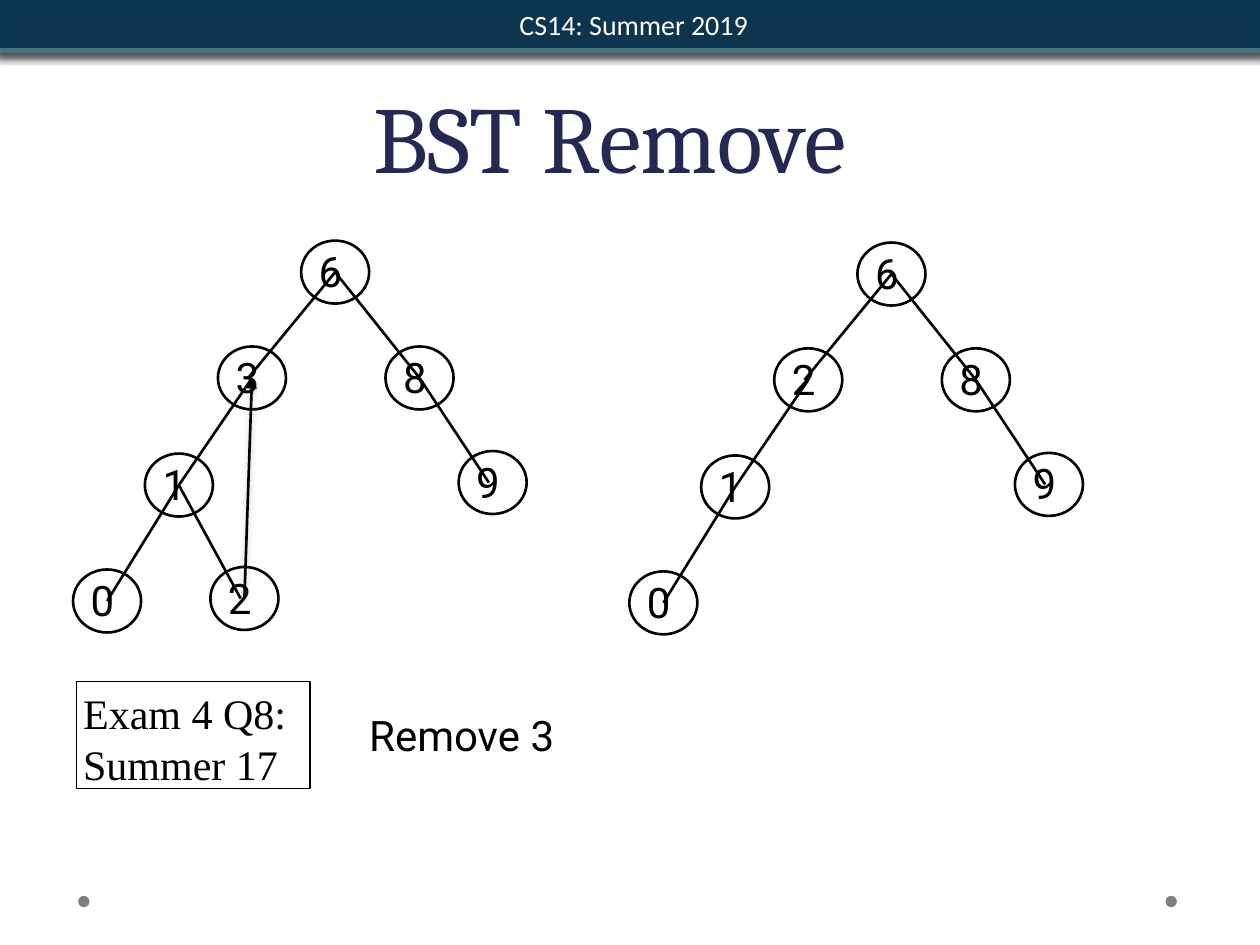
"""Build the BST Remove slide: a search tree before and after removing 3."""
import pptx
import pptx.dml.color
import pptx.enum.shapes
import pptx.enum.text
import pptx.oxml
import pptx.oxml.ns
import pptx.util

RGB = pptx.dml.color.RGBColor
BLACK = RGB(0x00, 0x00, 0x00)
WHITE = RGB(0xFF, 0xFF, 0xFF)
NAVY = RGB(0x06, 0x2F, 0x4B)
TEAL = RGB(0x42, 0x7A, 0x92)
INDIGO = RGB(0x24, 0x28, 0x52)
GRAY = RGB(0x7F, 0x7F, 0x7F)
SHAPE = pptx.enum.shapes.MSO_SHAPE
ANCHOR = pptx.enum.text.MSO_ANCHOR
ALIGN = pptx.enum.text.PP_ALIGN
NS = pptx.oxml.ns.nsdecls("a")

prs = pptx.Presentation()
prs.slide_width = pptx.util.Inches(10)
prs.slide_height = pptx.util.Inches(7.5)
COL, ROW = prs.slide_width / 100, prs.slide_height / 75
s = prs.slides.add_slide(prs.slide_layouts[5])


def grid(*cells):
    return [round(c * (ROW if i % 2 else COL)) for i, c in enumerate(cells)]


def write(sp, text, font, size, color, anchor, align=ALIGN.LEFT, wrap=True, inset=0.5):
    tf = sp.text_frame
    tf.text = text
    tf.word_wrap = wrap
    tf.vertical_anchor = anchor
    tf.margin_left = tf.margin_right = round(inset * COL)
    tf.margin_top = tf.margin_bottom = round(inset * ROW)
    p = tf.paragraphs[0]
    p.alignment = align
    f = p.runs[0].font
    f.name, f.size, f.color.rgb = font, pptx.util.Pt(size), color


for x in (6.2, 92.5):
    sp = s.shapes.add_shape(SHAPE.OVAL, *grid(x, 71.1, 0.9, 0.9))
    sp.shadow.inherit = False
    sp.fill.solid()
    sp.fill.fore_color.rgb = GRAY
    sp.line.fill.background()

for cells, color, alpha, shade, strength in (
    ((-0.4, -0.6, 100.7, 4.8), TEAL, 100, "000000", 75),
    ((-0.1, 0, 100.3, 3.8), NAVY, 90, "5E5E5E", 50),
):
    bar = s.shapes.add_shape(SHAPE.RECTANGLE, *grid(*cells))
    bar.fill.solid()
    bar.fill.fore_color.rgb = color
    bar.fill._xPr.find(".//" + pptx.oxml.ns.qn("a:srgbClr")).append(
        pptx.oxml.parse_xml(f'<a:alpha {NS} val="{alpha * 1000}"/>'))
    bar.line.fill.background()
    bar._element.spPr.append(pptx.oxml.parse_xml(
        f'<a:effectLst {NS}><a:outerShdw blurRad="63500" dist="25400" dir="5400000" rotWithShape="0">'
        f'<a:srgbClr val="{shade}"><a:alpha val="{strength * 1000}"/></a:srgbClr>'
        '</a:outerShdw></a:effectLst>'))
write(bar, "CS14: Summer 2019", "Calibri", 16, WHITE, ANCHOR.MIDDLE, ALIGN.CENTER, inset=0.6)
bar.text_frame.margin_left = round(1.1 * COL)

title = s.shapes.title
title.left, title.top, title.width, title.height = grid(6.7, 3.3, 85, 12.5)
write(title, "BST Remove ", "Cambria", 54, INDIGO, ANCHOR.BOTTOM, ALIGN.CENTER)
title.text_frame.paragraphs[0].line_spacing = pptx.util.Pt(58)

NODE_W, NODE_H = 5.4, 5
CENTERS = {
    "root": (26.6, 21.6), "right": (33.3, 30), "left": (20, 30), "left left": (14.2, 38.5),
    "leaf": (8.5, 47.7), "right right": (39.1, 38.3), "inner": (19.4, 47.5),
}
EDGES = [("root", "right"), ("root", "left"), ("left", "left left"), ("left left", "leaf"),
         ("right", "right right"), ("left left", "inner"), ("inner", "left")]
END_SHIFT = {("root", "left"): -0.3, ("right", "right right"): -0.3, ("left left", "inner"): -0.3}
before = {"root": "6", "right": "8", "left": "3", "left left": "1",
          "leaf": "0", "right right": "9", "inner": "2"}
after = {"root": "6", "right": "8", "left": "2", "left left": "1", "leaf": "0", "right right": "9"}

for tree, dx, dy in ((before, 0, 0), (after, 44.15, 0.15)):
    for place, key in tree.items():
        x, y = CENTERS[place][0] + dx, CENTERS[place][1] + dy
        label = s.shapes.add_textbox(*grid(x - 1.8, y - 2.6, 3, 5))
        write(label, key, "Roboto", 24, BLACK, ANCHOR.MIDDLE, wrap=False)
        node = s.shapes.add_shape(SHAPE.OVAL, *grid(x - NODE_W / 2, y - NODE_H / 2, NODE_W, NODE_H))
        node.shadow.inherit = False
        node.fill.background()
        node.line.color.rgb = BLACK
        node.line.width = pptx.util.Pt(1.5)
    for start, end in EDGES:
        if start not in tree or end not in tree:
            continue
        (x1, y1), (x2, y2) = CENTERS[start], CENTERS[end]
        x2 += END_SHIFT.get((start, end), 0)
        edge = s.shapes.add_connector(pptx.enum.shapes.MSO_CONNECTOR.STRAIGHT,
                                      *grid(x1 + dx, y1 + dy, x2 + dx, y2 + dy))
        edge.line.color.rgb = BLACK
        edge.line.width = pptx.util.Pt(1.5)
        effects = pptx.oxml.parse_xml(f"<a:effectLst {NS}/>")
        if start == "inner":
            edge.line._get_or_add_ln().append(
                pptx.oxml.parse_xml(f'<a:tailEnd {NS} type="triangle"/>'))
            effects.append(pptx.oxml.parse_xml(
                f'<a:outerShdw {NS} blurRad="38100" dist="20320" dir="5400000" rotWithShape="0">'
                '<a:srgbClr val="808080"><a:alpha val="38000"/></a:srgbClr></a:outerShdw>'))
        edge._element.spPr.append(effects)

exam = s.shapes.add_shape(SHAPE.RECTANGLE, *grid(6.1, 54.1, 18.5, 8.5))
exam.shadow.inherit = False
exam.fill.background()
exam.line.color.rgb = BLACK
exam.line.width = pptx.util.Pt(0.75)
write(exam, "Exam 4 Q8: Summer 17", "Times New Roman", 24, BLACK, ANCHOR.TOP)

task = s.shapes.add_textbox(*grid(28.8, 55.8, 18.8, 5))
write(task, "Remove 3", "Roboto", 24, BLACK, ANCHOR.TOP)

prs.save("out.pptx")
